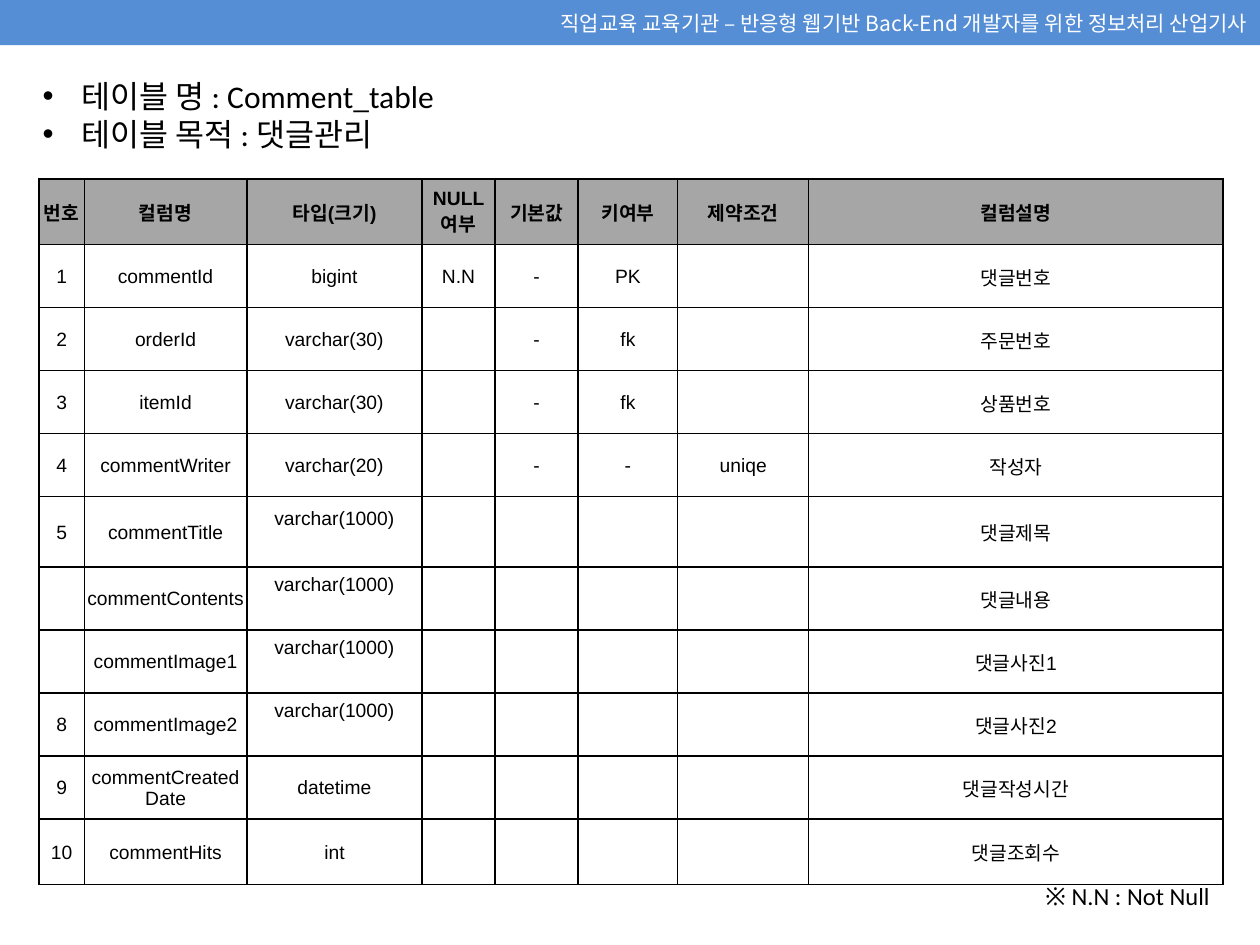
from lxml import etree
from pptx import Presentation
from pptx.dml.color import RGBColor
from pptx.enum.shapes import MSO_SHAPE
from pptx.enum.text import MSO_ANCHOR, PP_ALIGN
from pptx.oxml.ns import qn
from pptx.util import Inches, Pt

RECT = MSO_SHAPE.RECTANGLE
MIDDLE = MSO_ANCHOR.MIDDLE
LEFT, CENTER, RIGHT = PP_ALIGN.LEFT, PP_ALIGN.CENTER, PP_ALIGN.RIGHT

COLORS = {"band": "558ED5", "head": "A6A6A6", "text": "000000", "white": "FFFFFF"}
KOREAN = "Noto Sans CJK KR"
BAND = "직업교육 교육기관 – 반응형 웹기반 Back-End 개발자를 위한 정보처리 산업기사"
SUMMARY = ["테이블 명 : Comment_table", "테이블 목적 : 댓글관리"]
NOTE = "※ N.N : Not Null"
HEADER = ["번호", "컬럼명", "타입(크기)", "NULL 여부", "기본값", "키여부", "제약조건", "컬럼설명"]
FIELDS = [
    ("1", "commentId", "bigint", "N.N", "-", "PK", "", "댓글번호"),
    ("2", "orderId", "varchar(30)", "", "-", "fk", "", "주문번호"),
    ("3", "itemId", "varchar(30)", "", "-", "fk", "", "상품번호"),
    ("4", "commentWriter", "varchar(20)", "", "-", "-", "uniqe", "작성자"),
    ("5", "commentTitle", "varchar(1000)", "", "", "", "", "댓글제목"),
    ("", "commentContents", "varchar(1000)", "", "", "", "", "댓글내용"),
    ("", "commentImage1", "varchar(1000)", "", "", "", "", "댓글사진1"),
    ("8", "commentImage2", "varchar(1000)", "", "", "", "", "댓글사진2"),
    ("9", "commentCreatedDate", "datetime", "", "", "", "", "댓글작성시간"),
    ("10", "commentHits", "int", "", "", "", "", "댓글조회수"),
]
COL_WIDTHS = [0.36, 1.29, 1.39, 0.58, 0.66, 0.79, 1.04, 3.29]
ROW_HEIGHTS = [0.52] + [0.5] * 4 + [0.56] + [0.5] * 4 + [0.52]
RAISED = "varchar(1000)"


def write(p, text, size=11, font="Arial", color="text", bold=False, align=LEFT):
    p.alignment = align
    r = p.add_run()
    r.text = text
    r.font.size = Pt(size)
    r.font.bold = bold
    r.font.color.rgb = RGBColor.from_string(COLORS[color])
    r.font.name = font
    etree.SubElement(r.font._element, qn("a:ea"), typeface=KOREAN)


def add_bullet(p, indent):
    pPr = p._p.get_or_add_pPr()
    pPr.set("marL", str(Inches(indent)))
    pPr.set("indent", str(-Inches(indent)))
    etree.SubElement(pPr, qn("a:buFont"), typeface="Arial")
    etree.SubElement(pPr, qn("a:buChar"), char="•")


def add_borders(cell):
    tcPr = cell._tc.get_or_add_tcPr()
    for i, side in enumerate(("lnL", "lnR", "lnT", "lnB")):
        ln = etree.Element(qn("a:" + side), w=str(Pt(1)))
        fill = etree.SubElement(ln, qn("a:solidFill"))
        etree.SubElement(fill, qn("a:srgbClr"), val=COLORS["text"])
        tcPr.insert(i, ln)


def add_text_box(s, x, y, w, h):
    tf = s.shapes.add_textbox(Inches(x), Inches(y), Inches(w), Inches(h)).text_frame
    tf.word_wrap = True
    return tf


prs = Presentation()
prs.slide_width, prs.slide_height = Inches(10), Inches(7.5)
s = prs.slides.add_slide(prs.slide_layouts[6])

band = s.shapes.add_shape(RECT, 0, 0, prs.slide_width, Inches(0.36))
band.shadow.inherit = False
band.fill.solid()
band.fill.fore_color.rgb = RGBColor.from_string(COLORS["band"])
band.line.fill.background()
band.text_frame.word_wrap = True
band.text_frame.vertical_anchor = MIDDLE
write(band.text_frame.paragraphs[0], BAND, size=12, font=KOREAN, color="white", align=RIGHT)

tf = add_text_box(s, 0.24, 0.56, 9.49, 0.71)
for i, line in enumerate(SUMMARY):
    p = tf.add_paragraph() if i else tf.paragraphs[0]
    write(p, line, size=18, font="Calibri")
    add_bullet(p, 0.31)

rows = [HEADER] + FIELDS
table = s.shapes.add_table(len(rows), len(HEADER), Inches(0.31), Inches(1.42),
                           Inches(sum(COL_WIDTHS)), Inches(sum(ROW_HEIGHTS))).table
table.first_row = table.horz_banding = False
for col, width in zip(table.columns, COL_WIDTHS):
    col.width = Inches(width)
for r, (values, height) in enumerate(zip(rows, ROW_HEIGHTS)):
    table.rows[r].height = Inches(height)
    for c, value in enumerate(values):
        cell = table.cell(r, c)
        cell.vertical_anchor = MIDDLE
        cell.margin_left = cell.margin_right = cell.margin_top = Inches(0.01)
        cell.margin_bottom = Inches(0.22 if value == RAISED else 0)
        cell.fill.solid()
        cell.fill.fore_color.rgb = RGBColor.from_string(COLORS["white" if r else "head"])
        add_borders(cell)
        if value:
            write(cell.text_frame.paragraphs[0], value, bold=r == 0, align=CENTER)

tf = add_text_box(s, 8.15, 6.94, 1.55, 0.34)
write(tf.paragraphs[0], NOTE, size=14, font="Calibri", align=RIGHT)

prs.save("out.pptx")
